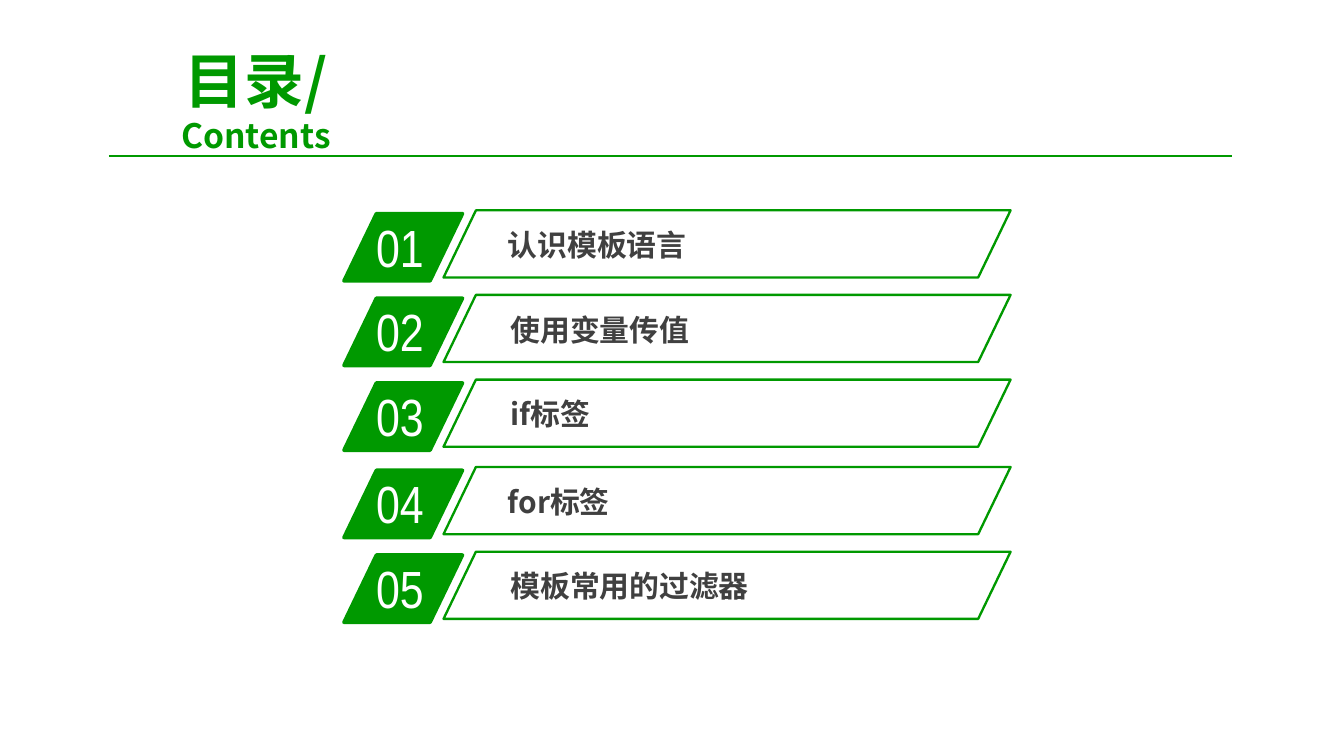
from lxml import etree
from pptx import Presentation
from pptx import util as u
from pptx.dml import color
from pptx.enum import shapes, text
from pptx.oxml import ns

COLORS = {"green": "009900", "ink": "404040", "white": "FFFFFF"}
SANS, NARROW = "Noto Sans CJK SC", "Arial Narrow"
SLANT = 0.482

# Number, label, top of the number tab, left of the label (points)
CHAPTERS = [
    ("01", "认识模板语言", 114.5, 267.1),
    ("02", "使用变量传值", 159.8, 268.6),
    ("03", "if标签", 205.2, 268.6),
    ("04", "for标签", 252, 267.1),
    ("05", "模板常用的过滤器", 297.4, 268.6),
]


def rgb(name):
    return color.RGBColor.from_string(COLORS[name])


def write(paragraph, words, *, size, ink, font, bold=False):
    run = paragraph.add_run()
    run.text = words
    run.font.size = u.Pt(size)
    run.font.bold = bold
    run.font.color.rgb = rgb(ink)
    run.font.name = font
    east_asian = etree.SubElement(run.font._element, ns.qn("a:ea"))
    east_asian.set("typeface", font)


def add_label(slide, words, left, top, width, height, inset=(7.2, 3.6), **style):
    label = slide.shapes.add_textbox(*map(u.Pt, (left, top, width, height)))
    frame = label.text_frame
    frame.word_wrap = True
    frame.auto_size = text.MSO_AUTO_SIZE.SHAPE_TO_FIT_TEXT
    frame.margin_left = frame.margin_right = u.Pt(inset[0])
    frame.margin_top = frame.margin_bottom = u.Pt(inset[1])
    write(frame.paragraphs[0], words, **style)


def add_slanted_box(slide, left, top, width, height, line_width, filled):
    box = slide.shapes.add_shape(shapes.MSO_SHAPE.PARALLELOGRAM,
                                 *map(u.Pt, (left, top, width, height)))
    box.adjustments[0] = SLANT
    box.shadow.inherit = False
    if filled:
        box.fill.solid()
        box.fill.fore_color.rgb = rgb("green")
    else:
        box.fill.background()
    box.line.color.rgb = rgb("green")
    box.line.width = u.Pt(line_width)


def add_rule(slide, left, right, y):
    rule = slide.shapes.add_connector(shapes.MSO_CONNECTOR.STRAIGHT,
                                      u.Pt(left), u.Pt(y), u.Pt(right), u.Pt(y))
    rule.line.color.rgb = rgb("green")
    rule.line.width = u.Pt(0.75)
    etree.SubElement(rule._element.spPr, ns.qn("a:effectLst"))


def add_heading(slide):
    heading = slide.shapes.title
    heading.left, heading.top = u.Pt(48.2), u.Pt(33.8)
    heading.width, heading.height = u.Pt(177.8), u.Pt(38.9)
    frame = heading.text_frame
    frame.auto_size = text.MSO_AUTO_SIZE.NONE
    frame.vertical_anchor = text.MSO_ANCHOR.MIDDLE
    line = frame.paragraphs[0]
    line.alignment = text.PP_ALIGN.CENTER
    style = dict(ink="green", font=SANS, bold=True)
    write(line, "目录/", size=32, **style)
    line.add_line_break()
    write(line, "Contents", size=18, **style)


def add_chapter(slide, number, name, top, label_left):
    # Solid tab with the number
    add_slanted_box(slide, 184.3, top, 63.4, 36, 2, filled=True)
    add_label(slide, number, 194.4, top - 2.9, 60.5, 41,
              size=28, ink="white", font=NARROW)
    # Outlined bar with the chapter name
    bar_top = top - 1.8
    add_label(slide, name, label_left, bar_top + 5.8, 242.6, 25.2, inset=(5, 2.9),
              size=16, ink="ink", font=SANS, bold=True)
    add_slanted_box(slide, 237.6, bar_top, 303.8, 36, 1.25, filled=False)


def main():
    deck = Presentation()
    deck.slide_width, deck.slide_height = u.Pt(720), u.Pt(405)
    slide = deck.slides.add_slide(deck.slide_layouts.get_by_name("Title Only"))
    add_heading(slide)
    add_rule(slide, 58.3, 660.2, 83.5)
    for chapter in CHAPTERS:
        add_chapter(slide, *chapter)
    deck.save("out.pptx")


if __name__ == "__main__":
    main()
